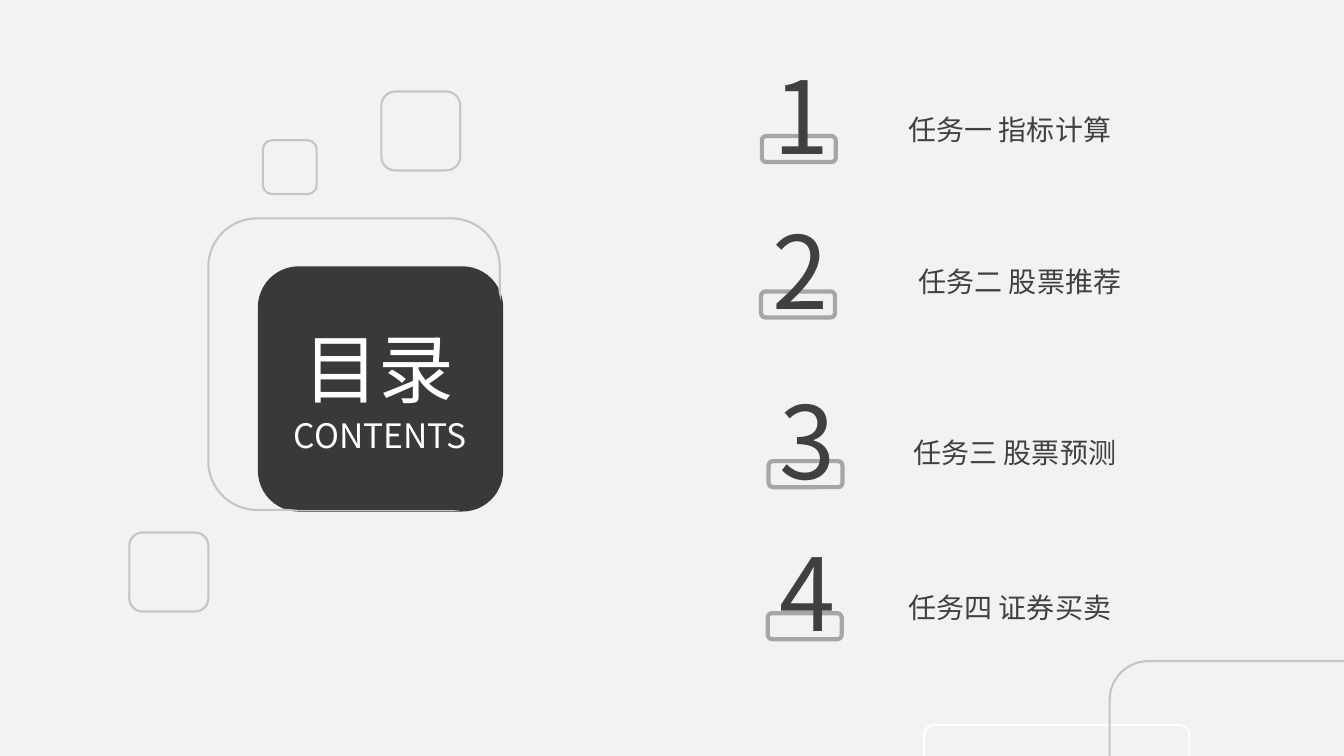
from dataclasses import dataclass
from typing import Optional

from lxml.etree import SubElement
from pptx import Presentation
from pptx.dml.color import RGBColor
from pptx.enum.shapes import MSO_SHAPE
from pptx.enum.text import MSO_ANCHOR, PP_ALIGN
from pptx.oxml.ns import qn
from pptx.slide import Slide
from pptx.util import Emu, Inches, Pt

COLORS = {
    "background": "F2F2F2",
    "plate": "3B3838",
    "outline": "C5C5C5",
    "tag": "A6A6A6",
    "text": "404040",
    "white": "FFFFFF",
}
FONT = "Noto Sans CJK SC"
COLS, ROWS = 16, 9
WIDTH, HEIGHT = Inches(13.333), Inches(7.5)
LABEL_RIGHT = 14
TEXT_ROWS = 0.78


@dataclass(frozen=True)
class Box:
    """A rectangle in grid columns and rows."""
    col: float
    row: float
    cols: float
    rows: float

    def emu(self) -> tuple[Emu, Emu, Emu, Emu]:
        return (Emu(round(self.col * WIDTH / COLS)), Emu(round(self.row * HEIGHT / ROWS)),
                Emu(round(self.cols * WIDTH / COLS)), Emu(round(self.rows * HEIGHT / ROWS)))


@dataclass(frozen=True)
class Rounded:
    box: Box
    fill: Optional[str] = None
    line: Optional[str] = None
    weight: float = 1.5
    corner: Optional[float] = None


@dataclass(frozen=True)
class Task:
    title: str
    col: float
    row: float
    label_col: float
    label_row: float


BLOCKS = [
    Rounded(Box(3.07, 3.17, 2.92, 2.92), fill="plate"),
    Rounded(Box(2.48, 2.6, 3.47, 3.47), line="outline"),
    Rounded(Box(3.13, 1.67, 0.64, 0.64), line="outline"),
    Rounded(Box(1.54, 6.34, 0.94, 0.94), line="outline"),
    Rounded(Box(3.08, 3.18, 2.89, 2.89), fill="plate"),
]
FRAMES = [
    Rounded(Box(4.54, 1.09, 0.94, 0.94), line="outline", corner=0.178),
    Rounded(Box(11, 8.63, 3.16, 0.7), line="white"),
    Rounded(Box(13.21, 7.87, 3.83, 2.77), line="outline"),
]
TASKS = [
    Task("任务一 指标计算", 9.05, 0.97, 10.66, 1.15),
    Task("任务二 股票推荐", 9.04, 2.82, 10.78, 2.96),
    Task("任务三 股票预测", 9.13, 4.84, 10.72, 5),
    Task("任务四 证券买卖", 9.12, 6.65, 10.66, 6.84),
]
TAGS = [Rounded(Box(t.col + 0.02, t.row + 0.65, 0.88, 0.31), line="tag", weight=3)
        for t in TASKS]


def rgb(name: str) -> RGBColor:
    return RGBColor.from_string(COLORS[name])


def add_rounded(s: Slide, item: Rounded) -> None:
    sp = s.shapes.add_shape(MSO_SHAPE.ROUNDED_RECTANGLE, *item.box.emu())
    sp.shadow.inherit = False
    if item.corner is not None:
        sp.adjustments[0] = item.corner
    if item.fill:
        sp.fill.solid()
        sp.fill.fore_color.rgb = rgb(item.fill)
    else:
        sp.fill.background()
    if item.line:
        sp.line.color.rgb = rgb(item.line)
        sp.line.width = Pt(item.weight)
    else:
        sp.line.fill.background()


def add_text(s: Slide, text: str, box: Box, *, size: float, color: str = "text",
             anchor: MSO_ANCHOR = MSO_ANCHOR.MIDDLE,
             inset: tuple[float, float] = (0.13, 0.07)) -> None:
    tf = s.shapes.add_textbox(*box.emu()).text_frame
    tf.word_wrap = True
    tf.vertical_anchor = anchor
    tf.margin_left = tf.margin_right = Inches(inset[0])
    tf.margin_top = tf.margin_bottom = Inches(inset[1])
    p = tf.paragraphs[0]
    p.alignment = PP_ALIGN.LEFT
    r = p.add_run()
    r.text = text
    r.font.size = Pt(size)
    r.font.color.rgb = rgb(color)
    r.font.name = FONT
    SubElement(r.font._element, qn("a:ea")).set("typeface", FONT)


def main() -> None:
    prs = Presentation()
    prs.slide_width, prs.slide_height = WIDTH, HEIGHT
    s = prs.slides.add_slide(prs.slide_layouts[6])
    s.background.fill.solid()
    s.background.fill.fore_color.rgb = rgb("background")

    for block in BLOCKS:
        add_rounded(s, block)
    heading = {"color": "white", "anchor": MSO_ANCHOR.TOP, "inset": (0.1, 0.05)}
    add_text(s, "CONTENTS", Box(3.38, 4.88, 2.41, 0.6), size=24, **heading)
    add_text(s, "目录", Box(3.49, 3.77, 2.2, 1.21), size=54, **heading)
    for frame in TAGS + FRAMES:
        add_rounded(s, frame)
    for number, t in enumerate(TASKS, 1):
        add_text(s, str(number), Box(t.col, t.row, 1.75, TEXT_ROWS), size=72)
        label = Box(t.label_col, t.label_row, LABEL_RIGHT - t.label_col, TEXT_ROWS)
        add_text(s, t.title, label, size=20)

    prs.save("out.pptx")


if __name__ == "__main__":
    main()
